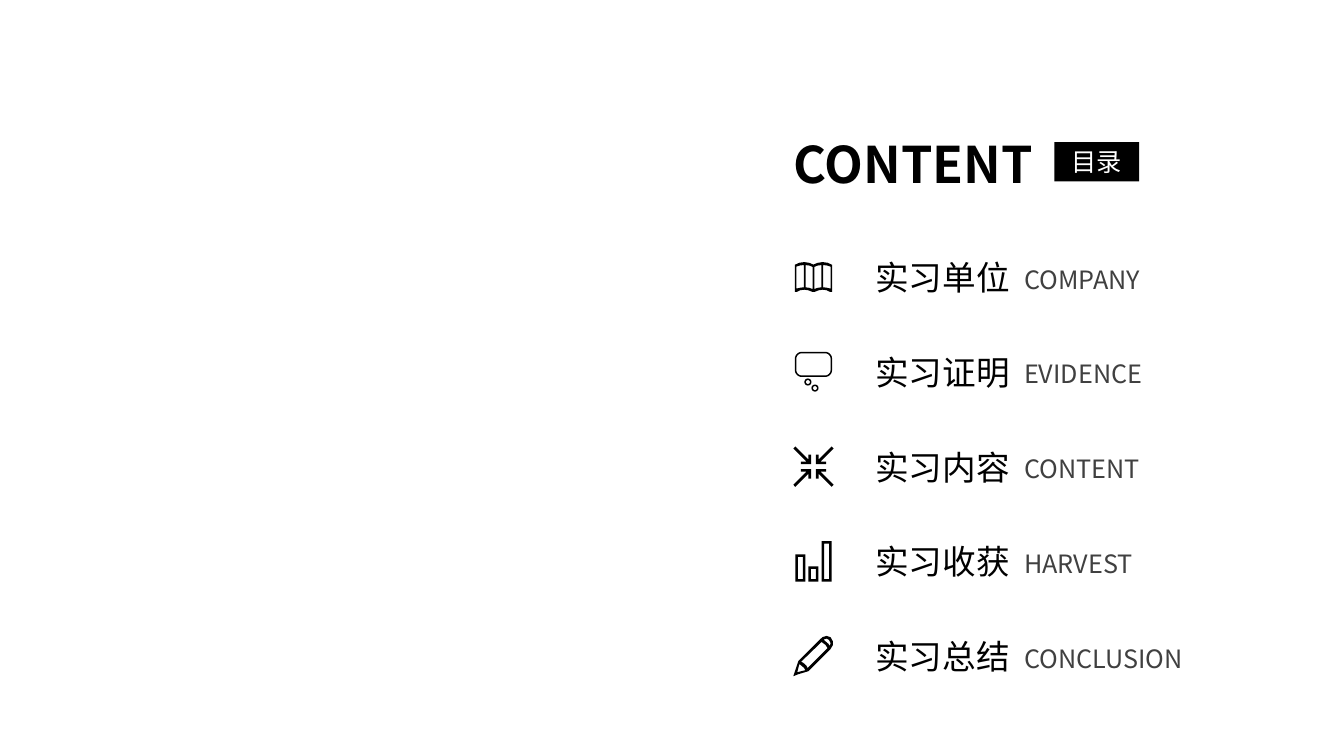
import math

import lxml.etree
import pptx
import pptx.dml.color
import pptx.enum.shapes
import pptx.enum.text
import pptx.oxml.ns
import pptx.util

COLOURS = {"ink": "000000", "caption": "404040", "paper": "FFFFFF"}
ALIGN = pptx.enum.text.PP_ALIGN
AUTO_SIZE = pptx.enum.text.MSO_AUTO_SIZE
ANCHOR = pptx.enum.text.MSO_ANCHOR

# Agenda grid, in hundredths of the slide's width and height
ICON_CENTRE = 60.53
FIRST_ROW, ROW_STEP = 36.67, 12.53
AGENDA = [
    ("实习单位", "COMPANY", "book"),
    ("实习证明", "EVIDENCE", "bubble"),
    ("实习内容", "CONTENT", "arrows"),
    ("实习收获", "HARVEST", "bars"),
    ("实习总结", "CONCLUSION", "pencil"),
]


# Icon outlines, in hundredths of an inch around the icon's centre
def mirror(points, x_sign=1, y_sign=1):
    return [(x * x_sign, y * y_sign) for x, y in points]


def rounded(left, top, right, bottom, radius):
    corners = [
        (right - radius, bottom - radius), (left + radius, bottom - radius),
        (left + radius, top + radius), (right - radius, top + radius),
    ]
    points = []
    for quarter, (x, y) in enumerate(corners):
        for step in range(7):
            angle = math.radians(90 * quarter + 15 * step)
            points.append((x + radius * math.cos(angle), y + radius * math.sin(angle)))
    return points


def circle(x, y, radius):
    return rounded(x - radius, y - radius, x + radius, y + radius, radius)


def rectangle(left, top, right, bottom):
    return [(left, top), (right, top), (right, bottom), (left, bottom)]


def book():
    cover = [(0, -12.5), (4, -14.2), (9, -15), (14, -14.3), (18.5, -12.3), (18.5, 14.6),
             (16.5, 14.6), (13, 12.9), (9, 12.4), (5, 13), (1, 14.6)]
    outer_page = [(17, -10.5), (13, -11.7), (9.5, -12), (9.5, 10), (13, 10.4), (17, 11.3)]
    inner_page = [(7.8, -12), (4, -11.5), (0.9, -10.2), (0.9, 11.8), (4, 10.6), (7.8, 10)]
    pages = [mirror(page, side) for page in (outer_page, inner_page) for side in (-1, 1)]
    return [cover + mirror(cover[:0:-1], -1)] + pages


def bubble():
    outlines = [rounded(-18.5, -20, 18.5, 5, 7), rounded(-17, -18.5, 17, 3.5, 5.5)]
    for x, y in ((-5.5, 10), (1.5, 16)):
        outlines += [circle(x, y, 3.5), circle(x, y, 2)]
    return outlines


def arrows():
    arrow = [(-18, -20), (-5, -7), (-5, -12), (-2.4, -12), (-2.4, -2.4),
             (-12.5, -2.4), (-12.5, -5), (-7, -5), (-20, -18)]
    return [mirror(arrow, x, y) for x in (1, -1) for y in (1, -1)]


def bars():
    outlines = []
    for left, top in ((-18, -7), (-5, 5), (8, -20)):
        outlines += [rectangle(left, top, left + 10, 20),
                     rectangle(left + 2.5, top + 2.5, left + 7.5, 17.5)]
    return outlines


def pencil():
    outline = [(-20, 20), (-15, 5), (7, -17), (9, -18.8), (13, -20), (17, -18.7),
               (19.3, -14.5), (19.3, -11), (17, -7), (-5, 15), (-15, 18)]
    tip = [(-14, 8), (-16, 16), (-8, 14), (-9.5, 11.5), (-13, 8.7)]
    body = [(8, -14), (-12.3, 5.7), (-10, 6.8), (-7, 9.5), (-5.8, 12), (14, -8), (12, -11)]
    cap = [(13, -17.3), (10, -16.3), (11.5, -15), (15, -12), (16.3, -10), (17, -13), (15.5, -16)]
    return [outline, tip, body, cap]


ICONS = {"book": book, "bubble": bubble, "arrows": arrows, "bars": bars, "pencil": pencil}


class ContentSlide:
    font = "Noto Sans CJK SC"

    def __init__(self, presentation):
        self.column = presentation.slide_width / 100
        self.row = presentation.slide_height / 100
        self.slide = presentation.slides.add_slide(presentation.slide_layouts[5])

    def box(self, left, top, width, height):
        return (round(left * self.column), round(top * self.row),
                round(width * self.column), round(height * self.row))

    def add_text(self, shape, text, size, colour, align=ALIGN.LEFT, bold=False):
        paragraph = shape.text_frame.paragraphs[0]
        paragraph.alignment = align
        run = paragraph.add_run()
        run.text = text
        run.font.size = pptx.util.Pt(size)
        run.font.bold = bold
        run.font.color.rgb = pptx.dml.color.RGBColor.from_string(COLOURS[colour])
        run.font.name = self.font
        east_asian = lxml.etree.SubElement(run.font._element, pptx.oxml.ns.qn("a:ea"))
        east_asian.set("typeface", self.font)

    def paint(self, shape, colour):
        shape.shadow.inherit = False
        shape.fill.solid()
        shape.fill.fore_color.rgb = pptx.dml.color.RGBColor.from_string(COLOURS[colour])
        shape.line.fill.background()

    def title(self, text, *place):
        shape = self.slide.shapes.title
        shape.left, shape.top, shape.width, shape.height = self.box(*place)
        shape.text_frame.vertical_anchor = ANCHOR.TOP
        shape.text_frame.auto_size = AUTO_SIZE.SHAPE_TO_FIT_TEXT
        self.add_text(shape, text, 36, "ink", bold=True)

    def badge(self, text, *place):
        shape = self.slide.shapes.add_shape(
            pptx.enum.shapes.MSO_SHAPE.RECTANGLE, *self.box(*place))
        self.paint(shape, "ink")
        shape.text_frame.vertical_anchor = ANCHOR.MIDDLE
        self.add_text(shape, text, 18, "paper", ALIGN.CENTER)

    def label(self, text, place, size, colour, align):
        shape = self.slide.shapes.add_textbox(*self.box(*place))
        frame = shape.text_frame
        frame.word_wrap = True
        frame.auto_size = AUTO_SIZE.SHAPE_TO_FIT_TEXT
        frame.margin_left = frame.margin_right = 0
        self.add_text(shape, text, size, colour, align)

    def icon(self, outlines, column, row):
        unit = pptx.util.Inches(0.01)
        contours = [[(column * self.column + x * unit, row * self.row + y * unit)
                     for x, y in outline] for outline in outlines]
        builder = self.slide.shapes.build_freeform(*contours[0][0])
        for number, contour in enumerate(contours):
            if number:
                builder.move_to(*contour[0])
            builder.add_line_segments(contour[1:], close=True)
        self.paint(builder.convert_to_shape(), "ink")


def main():
    presentation = pptx.Presentation()
    presentation.slide_width = pptx.util.Inches(13.33)
    presentation.slide_height = pptx.util.Inches(7.5)
    content = ContentSlide(presentation)

    # Heading
    content.title("CONTENT", 58.28, 16.93, 24.23, 9.47)
    content.badge("目录", 78.45, 18.8, 6.3, 5.2)

    # Agenda rows
    for number, (chinese, english, icon) in enumerate(AGENDA):
        row = FIRST_ROW + number * ROW_STEP
        content.icon(ICONS[icon](), ICON_CENTRE, row)
        content.label(chinese, (63.15, row - 3.33, 13.95, 6.67), 24, "ink", ALIGN.CENTER)
        content.label(english, (76.2, row - 2.4, 20.1, 5.33), 18, "caption", ALIGN.LEFT)

    presentation.save("out.pptx")


if __name__ == "__main__":
    main()
